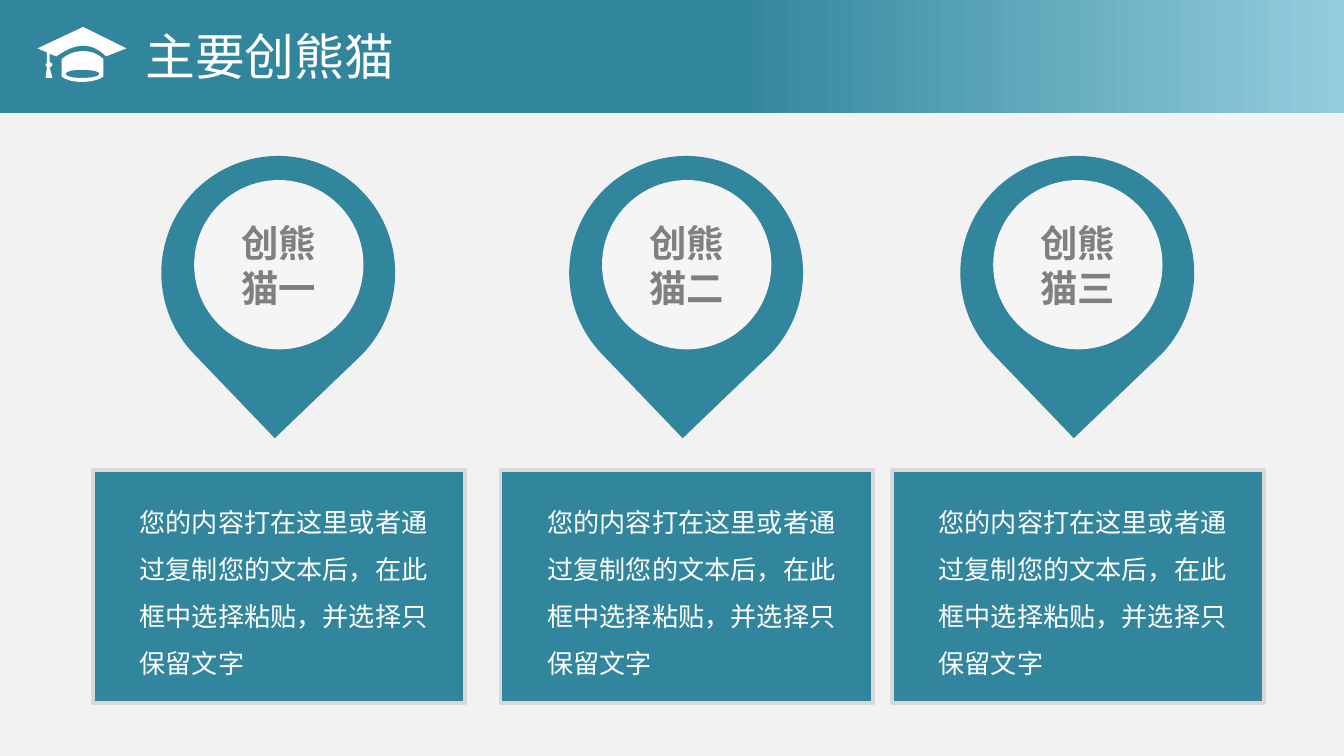
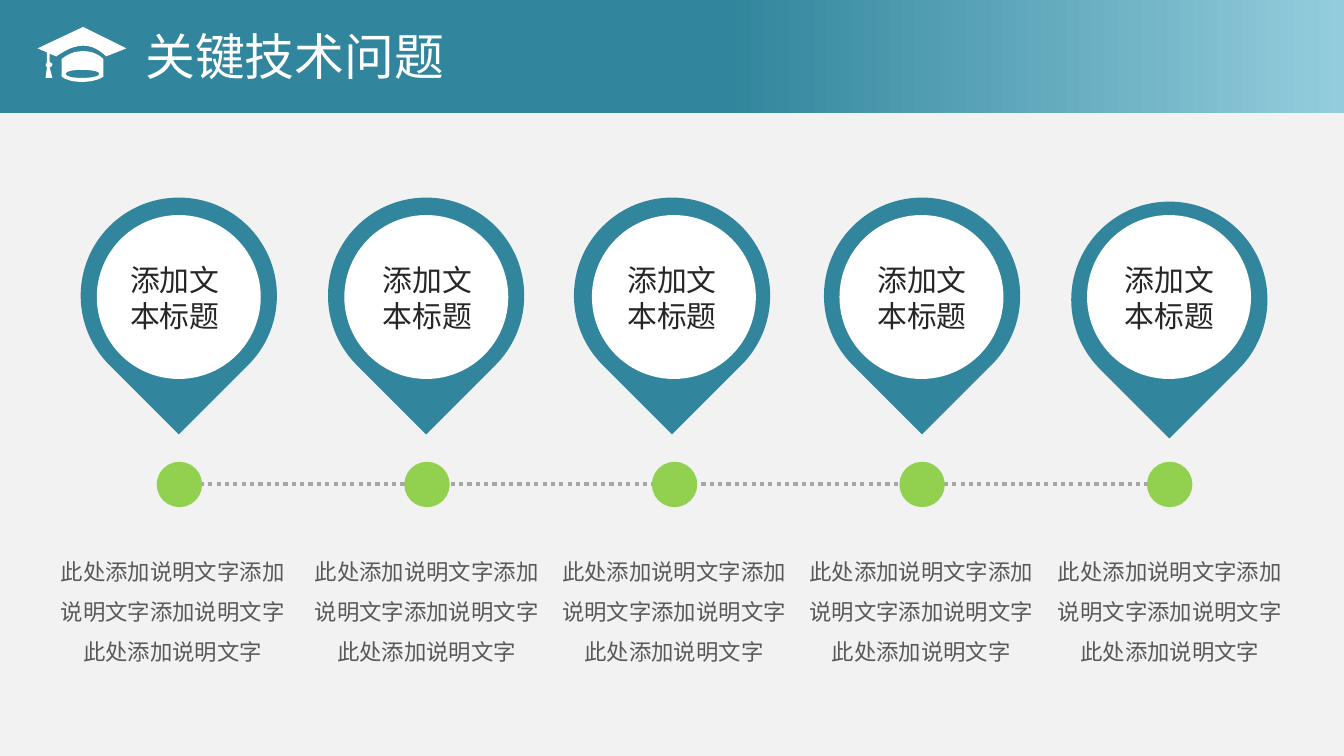
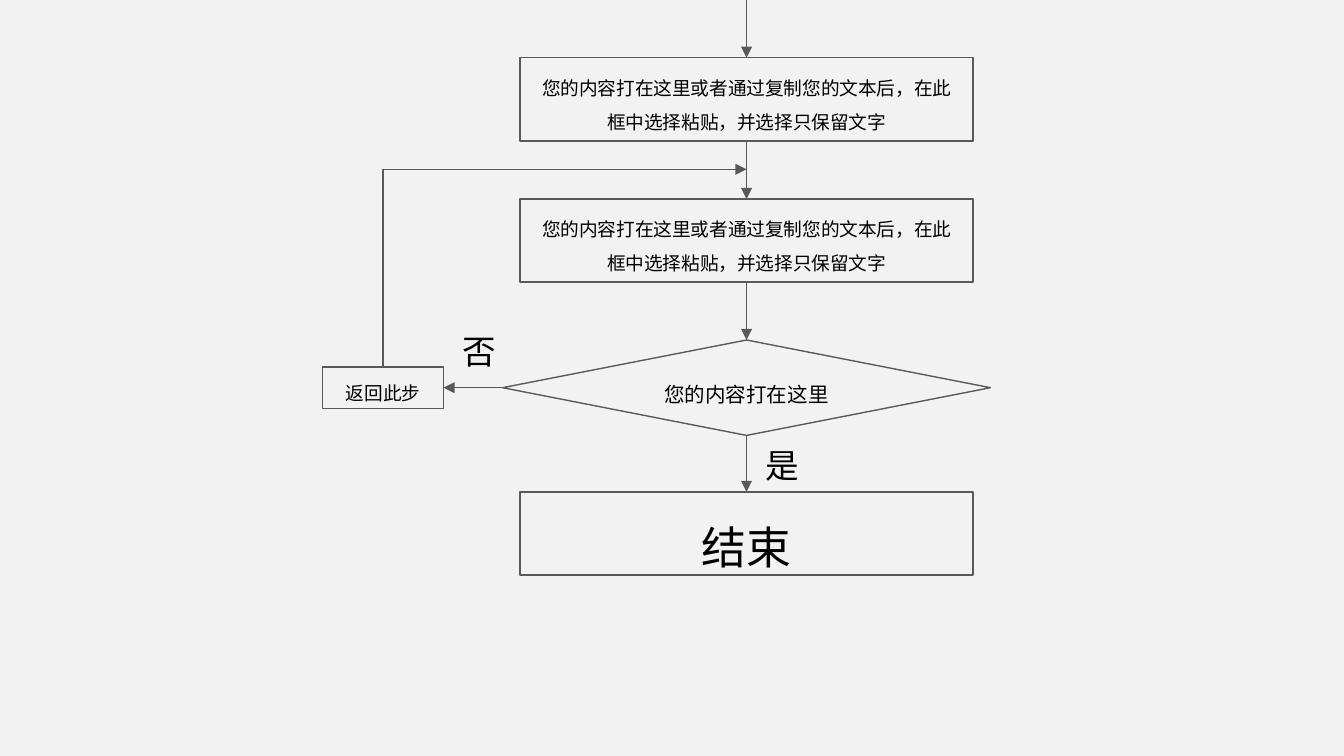
from copy import deepcopy
from dataclasses import dataclass

from lxml.etree import SubElement
from pptx import Presentation
from pptx.dml.color import RGBColor
from pptx.enum.dml import MSO_LINE
from pptx.enum.shapes import MSO_CONNECTOR, MSO_SHAPE
from pptx.enum.text import MSO_ANCHOR, MSO_AUTO_SIZE, PP_ALIGN
from pptx.oxml.ns import qn
from pptx.util import Inches, Pt

# Grid: 100 columns across the slide, with square cells
COLUMNS = 100
SLIDE_WIDTH = Inches(10)
SLIDE_HEIGHT = SLIDE_WIDTH * 9 // 16
CELL = SLIDE_WIDTH // COLUMNS
TITLE_ONLY, BLANK = 5, 6
TOP, LEFT, BOTTOM, RIGHT = range(4)


@dataclass(frozen=True)
class Theme:
    font: str = "Noto Sans CJK SC"
    background: str = "F2F2F2"
    teal: str = "31859C"
    light_teal: str = "93CDDD"
    green: str = "92D050"
    white: str = "FFFFFF"
    disc: str = "F5F5F5"
    card_border: str = "D9D9D9"
    dotted: str = "A6A6A6"
    gray: str = "808080"
    ink: str = "262626"
    outline: str = "595959"
    black: str = "000000"
    title_size: float = 26.7
    end_size: float = 24
    pin_size: float = 20
    answer_size: float = 18
    label_size: float = 16
    card_size: float = 14
    caption_size: float = 12
    decision_size: float = 11
    step_size: float = 10


THEME = Theme()
PASTE_TEXT = "您的内容打在这里或者通过复制您的文本后，在此框中选择粘贴，并选择只保留文字"
CAPTION = "此处添加说明文字添加说明文字添加说明文字此处添加说明文字"

# Graduation cap in tenths of a cell: pairs are lines, sixes are Bezier curves
CAP_CONTOURS = [
    [(79, 42), (79, 42, 72, 34, 62, 34), (52, 34, 42, 42, 42, 42), (37, 40), (37, 46),
     (38, 47, 39, 47, 39, 48), (39, 49, 38, 50, 37, 50), (39, 58), (34, 58), (35, 50),
     (35, 50, 34, 49, 34, 48), (34, 48, 35, 47, 35, 46), (35, 39), (28, 36), (62, 20), (94, 36)],
    [(62, 38), (72, 38, 77, 44, 77, 44), (77, 57), (77, 57, 72, 61, 61, 61),
     (50, 61, 46, 57, 46, 57), (46, 44), (46, 44, 52, 38, 62, 38)],
    [(61, 58), (68, 58, 74, 57, 74, 55), (74, 53, 68, 52, 61, 52),
     (54, 52, 49, 53, 49, 55), (49, 57, 54, 58, 61, 58)],
]


def cells(*lengths):
    return [round(length * CELL) for length in lengths]


def color(value):
    return RGBColor.from_string(value)


# Text
def write(shape, text, size, text_color, align=PP_ALIGN.LEFT, spacing=None,
          bold=False, anchor=MSO_ANCHOR.TOP):
    frame = shape.text_frame
    frame.word_wrap = True
    frame.vertical_anchor = anchor
    paragraph = frame.paragraphs[0]
    paragraph.alignment = align
    if spacing:
        paragraph.line_spacing = spacing
    run = paragraph.add_run()
    run.text = text
    run.font.size = Pt(size)
    run.font.bold = bold
    run.font.color.rgb = color(text_color)
    run.font.name = THEME.font
    SubElement(run.font._element, qn("a:ea")).set("typeface", THEME.font)
    return frame


def add_text(slide, box, text, size, text_color, grow=True, **style):
    frame = write(slide.shapes.add_textbox(*cells(*box)), text, size, text_color, **style)
    frame.auto_size = MSO_AUTO_SIZE.SHAPE_TO_FIT_TEXT if grow else MSO_AUTO_SIZE.NONE
    return frame


# Shapes and lines
def add_preset(shapes, kind, box, fill=None, line=None, width=0.75):
    shape = shapes.add_shape(kind, *cells(*box))
    shape.shadow.inherit = False
    if fill:
        shape.fill.solid()
        shape.fill.fore_color.rgb = color(fill)
    else:
        shape.fill.background()
    if line:
        shape.line.color.rgb = color(line)
        shape.line.width = Pt(width)
    else:
        shape.line.fill.background()
    return shape


def add_line(slide, start, end, line=THEME.outline, width=0.75, arrow=True):
    """Each end is a (column, row) point or a (shape, side) joint."""
    joints = [isinstance(target[0], (int, float)) for target in (start, end)]
    points = [cells(*target) if free else (0, 0) for target, free in zip((start, end), joints)]
    connector = slide.shapes.add_connector(MSO_CONNECTOR.STRAIGHT, *points[0], *points[1])
    if not joints[0]:
        connector.begin_connect(*start)
    if not joints[1]:
        connector.end_connect(*end)
    connector.line.color.rgb = color(line)
    connector.line.width = Pt(width)
    if arrow:
        SubElement(connector.line._get_or_add_ln(), qn("a:tailEnd")).set("type", "triangle")
    SubElement(connector.element.spPr, qn("a:effectLst"))
    return connector


def add_pin(slide, drop_box, disc_box, disc_fill, rotation):
    group = slide.shapes.add_group_shape()
    drop = add_preset(group.shapes, MSO_SHAPE.TEAR, drop_box, THEME.teal)
    drop.rotation = rotation
    return add_preset(group.shapes, MSO_SHAPE.OVAL, disc_box, disc_fill)


# Header: gradient band, title and cap
def flatten(contour, steps=8):
    points = [contour[0]]
    for segment in contour[1:]:
        if len(segment) == 2:
            points.append(segment)
            continue
        controls = [points[-1], segment[:2], segment[2:4], segment[4:]]
        for step in range(1, steps + 1):
            t = step / steps
            weights = ((1 - t) ** 3, 3 * t * (1 - t) ** 2, 3 * t * t * (1 - t), t ** 3)
            points.append(tuple(sum(weight * control[axis] for weight, control
                                    in zip(weights, controls)) for axis in (0, 1)))
    return points


def add_cap(slide):
    fineness = 10
    builder = None
    for contour in CAP_CONTOURS:
        first, *rest = [(x * fineness, y * fineness) for x, y in flatten(contour)]
        if builder is None:
            builder = slide.shapes.build_freeform(*first, scale=CELL / (10 * fineness))
        else:
            builder.move_to(*first)
        builder.add_line_segments(rest, close=True)
    cap = builder.convert_to_shape()
    cap.shadow.inherit = False
    cap.fill.solid()
    cap.fill.fore_color.rgb = color(THEME.white)
    cap.line.fill.background()


def add_header(slide, text):
    band = add_preset(slide.shapes, MSO_SHAPE.RECTANGLE, (0, 0, COLUMNS, 8.4))
    band.fill.gradient()
    band.fill.gradient_angle = 180
    last_stop = list(band.element.iter(qn("a:gs")))[-1]
    for _ in range(2):
        last_stop.addnext(deepcopy(last_stop))
    colors = [THEME.light_teal] + [THEME.teal] * 3
    for stop, position, stop_color in zip(band.fill.gradient_stops, (0, 0.46, 0.83, 1), colors):
        stop.position = position
        stop.color.rgb = color(stop_color)

    title = slide.shapes.title
    title.element.addprevious(band.element)
    title.left, title.top, title.width, title.height = cells(9.8, 1.4, 42.2, 5.5)
    frame = write(title, text, THEME.title_size, THEME.white)
    frame.auto_size = MSO_AUTO_SIZE.SHAPE_TO_FIT_TEXT
    add_cap(slide)


# Slides
def build_innovations(slide):
    add_header(slide, "主要创熊猫")
    for left, name in zip((6.9, 37.25, 66.35), ("创熊猫一", "创熊猫二", "创熊猫三")):
        add_preset(slide.shapes, MSO_SHAPE.RECTANGLE, (left, 35, 27.7, 17.3),
                   THEME.teal, THEME.card_border, 2)
        disc = add_pin(slide, (left + 5.1, 11.6, 17.4, 17.4),
                       (left + 7.55, 13.4, 12.6, 12.6), THEME.disc, 136.2)
        write(disc, name, THEME.pin_size, THEME.gray, PP_ALIGN.CENTER,
              bold=True, anchor=MSO_ANCHOR.MIDDLE)
        add_text(slide, (left + 2.5, 36, 23.7, 15.1), PASTE_TEXT,
                 THEME.card_size, THEME.white, spacing=1.5)


def build_key_problems(slide):
    add_header(slide, "关键技术问题")
    pitch = 18.42
    timeline = add_line(slide, (13, 36), (87, 36), THEME.dotted, 2.25, arrow=False)
    timeline.line.dash_style = MSO_LINE.ROUND_DOT
    # Left and top of each drop, then left of its label and caption
    stations = [(6, 14.7, 8.4, 3.4), (24.4, 14.7, 27.2, 22.3), (42.7, 14.7, 45.4, 40.7),
                (61.3, 14.7, 64, 59.1), (79.7, 15, 82.4, 77.6)]
    for index, (drop_left, drop_top, label_left, caption_left) in enumerate(stations):
        offset = index * pitch
        add_preset(slide.shapes, MSO_SHAPE.OVAL, (11.8 + offset, 34.5, 3.1, 3.1),
                   THEME.green, THEME.green, 2)
        add_pin(slide, (drop_left, drop_top, 14.6, 14.6),
                (7.2 + offset, 16, 12.2, 12.2), THEME.white, 135)
        add_text(slide, (label_left, 19, 9.2, 6.4), "添加文本标题",
                 THEME.label_size, THEME.ink, align=PP_ALIGN.CENTER)
        add_text(slide, (caption_left, 40, 18.9, 9.9), CAPTION, THEME.caption_size,
                 THEME.outline, grow=False, align=PP_ALIGN.CENTER, spacing=1.5)


def add_node(slide, kind, box, text, size):
    node = add_preset(slide.shapes, kind, box, line=THEME.outline)
    write(node, text, size, THEME.black, PP_ALIGN.CENTER, 1.5, anchor=MSO_ANCHOR.MIDDLE)
    return node


def build_flowchart(slide):
    rectangle = MSO_SHAPE.RECTANGLE
    first, second, finish = [
        add_node(slide, rectangle, (38.7, top, 33.7, 6.2), text, size)
        for top, text, size in ((4.3, PASTE_TEXT, THEME.step_size),
                                (14.8, PASTE_TEXT, THEME.step_size),
                                (36.6, "结束", THEME.end_size))]
    decision = add_node(slide, MSO_SHAPE.DIAMOND, (37.4, 25.3, 36.3, 7.1),
                        "您的内容打在这里", THEME.decision_size)
    frame = decision.text_frame
    frame.margin_left = frame.margin_top = frame.margin_right = frame.margin_bottom = 0
    back = add_node(slide, rectangle, (24, 27.3, 9, 3.1), "返回此步", THEME.step_size)

    # Main flow downwards
    axis, loop_row, loop_column = 55.55, 12.6, 28.5
    add_line(slide, (axis, 0), (first, TOP))
    for upper, lower in ((first, second), (second, decision), (decision, finish)):
        add_line(slide, (upper, BOTTOM), (lower, TOP))
    # Loop back to the second step
    add_line(slide, (loop_column, loop_row), (back, TOP), arrow=False)
    add_line(slide, (loop_column, loop_row), (axis, loop_row))
    add_line(slide, (decision, LEFT), (back, RIGHT))
    # Answers
    for left, top, answer in ((56, 32.6, "是"), (33.4, 24.1, "否")):
        answer_frame = add_text(slide, (left, top, 4.4, 3.9), answer, THEME.answer_size,
                                THEME.black, align=PP_ALIGN.CENTER)
        answer_frame.word_wrap = False


def main():
    presentation = Presentation()
    presentation.slide_width = SLIDE_WIDTH
    presentation.slide_height = SLIDE_HEIGHT
    background = presentation.slide_master.background.fill
    background.solid()
    background.fore_color.rgb = color(THEME.background)
    for layout, build in ((TITLE_ONLY, build_innovations), (TITLE_ONLY, build_key_problems),
                          (BLANK, build_flowchart)):
        build(presentation.slides.add_slide(presentation.slide_layouts[layout]))
    presentation.save("out.pptx")


if __name__ == "__main__":
    main()
